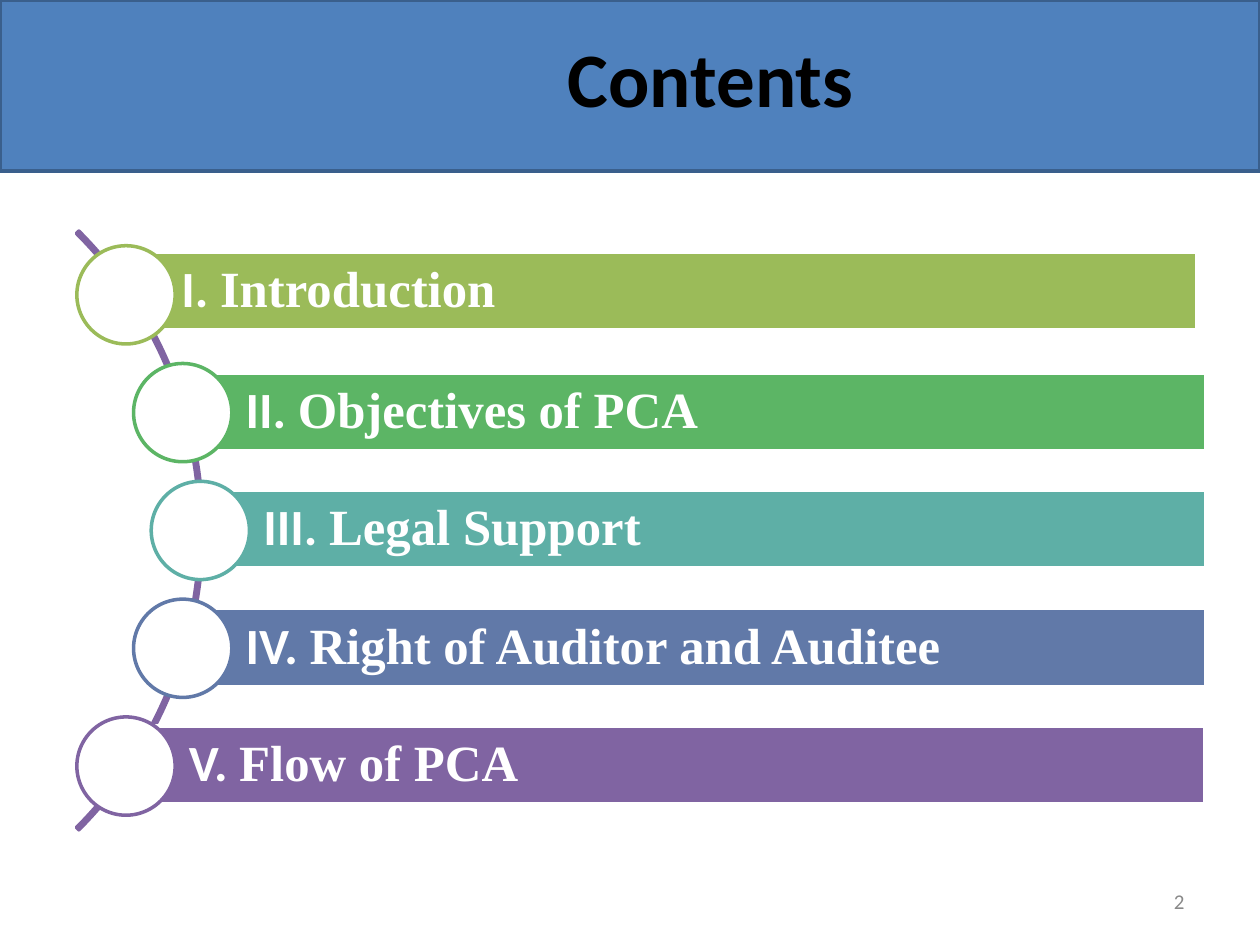
"""Build a contents slide with five bars strung along an arc."""
from dataclasses import dataclass

from pptx import Presentation
from pptx.dml.color import RGBColor
from pptx.enum.shapes import MSO_SHAPE as Shape
from pptx.enum.text import MSO_ANCHOR as Anchor, PP_ALIGN as Align
from pptx.util import Inches, Pt


@dataclass(frozen=True)
class Theme:
    header: str = "4F81BD"
    header_line: str = "3A5F8C"
    arc: str = "8064A2"
    white: str = "FFFFFF"
    black: str = "000000"
    grey: str = "898989"
    sans: str = "Calibri"
    serif: str = "Times New Roman"
    title_size: int = 44
    item_size: int = 29
    number_size: int = 12
    line_width: int = 2


THEME = Theme()
CIRCLE_TOP, CIRCLE_SIZE, CIRCLE_PITCH = 1.95, 0.78, 0.935
BAR_HEIGHT = 0.62
ITEMS = [
    ("I. ", "Introduction", "9BBB59", 0.61, (0.94, 2.0, 8.56)),
    ("II. ", "Objectives of PCA", "5CB565", 1.06, (1.45, 2.96, 8.12)),
    ("III. ", "Legal Support", "5EAFA6", 1.2, (1.59, 3.89, 7.98)),
    ("IV. ", "Right of Auditor and Auditee", "6179A8", 1.06, (1.45, 4.83, 8.12)),
    ("V. ", "Flow of PCA", "8064A2", 0.61, (1.0, 5.76, 8.56)),
]


def add_figure(page, kind, bounds, fill, line):
    """Add a preset shape with an optional fill and a solid outline."""
    figure = page.shapes.add_shape(kind, *map(Inches, bounds))
    figure.shadow.inherit = False
    if fill:
        figure.fill.solid()
        figure.fill.fore_color.rgb = RGBColor.from_string(fill)
    else:
        figure.fill.background()
    figure.line.color.rgb = RGBColor.from_string(line)
    figure.line.width = Pt(THEME.line_width)
    return figure


def add_span(para, text, size, color, font, bold=False):
    """Append one formatted run to a paragraph."""
    span = para.add_run()
    span.text = text
    span.font.size = Pt(size)
    span.font.name = font
    span.font.bold = bold
    span.font.color.rgb = RGBColor.from_string(color)


def place_title(page, text):
    """Move the title placeholder and fill it in."""
    title = page.shapes.title
    title.left, title.top, title.width, title.height = map(
        Inches, (1.78, 0.08, 7.72, 1.06))
    title.text_frame.vertical_anchor = Anchor.MIDDLE
    para = title.text_frame.paragraphs[0]
    para.alignment = Align.CENTER
    add_span(para, text, THEME.title_size, THEME.black, THEME.sans, True)


def add_header(page):
    """Add the header band behind the title."""
    band = add_figure(page, Shape.RECTANGLE, (0, 0, 10, 1.36),
                      THEME.header, THEME.header_line)
    page.shapes.title.element.addprevious(band.element)


def add_arc(page):
    """Add the thin arc on which the circles sit."""
    arc = add_figure(page, Shape.BLOCK_ARC, (-5.11, 0.85, 6.72, 6.72),
                     None, THEME.arc)
    for index, value in enumerate((189, 27, 0.004)):
        arc.adjustments[index] = value


def add_bar(page, numeral, label, color, bounds):
    """Add a coloured bar with its numeral and label."""
    bar = add_figure(page, Shape.RECTANGLE, (*bounds, BAR_HEIGHT),
                     color, THEME.white)
    frame = bar.text_frame
    frame.word_wrap = True
    frame.vertical_anchor = Anchor.MIDDLE
    frame.margin_left = Inches(0.5)
    frame.margin_top = frame.margin_right = frame.margin_bottom = Inches(0.08)
    para = frame.paragraphs[0]
    para.alignment = Align.LEFT
    para.line_spacing = 0.9
    for text, font in ((numeral, THEME.sans), (label, THEME.serif)):
        add_span(para, text, THEME.item_size, THEME.white, font, True)


def add_page_number(page, number):
    """Add the page number at the lower right."""
    box = page.shapes.add_textbox(*map(Inches, (7.17, 6.95, 2.33, 0.4)))
    box.text_frame.word_wrap = True
    box.text_frame.vertical_anchor = Anchor.MIDDLE
    para = box.text_frame.paragraphs[0]
    para.alignment = Align.RIGHT
    add_span(para, number, THEME.number_size, THEME.grey, THEME.sans)


def main():
    """Build and save the deck."""
    deck = Presentation()
    deck.slide_width, deck.slide_height = Inches(10), Inches(7.5)
    page = deck.slides.add_slide(deck.slide_layouts[5])
    place_title(page, "Contents")
    add_header(page)
    add_arc(page)
    for row, (numeral, label, color, circle_left, bounds) in enumerate(ITEMS):
        add_bar(page, numeral, label, color, bounds)
        circle_top = CIRCLE_TOP + row * CIRCLE_PITCH
        add_figure(page, Shape.OVAL,
                   (circle_left, circle_top, CIRCLE_SIZE, CIRCLE_SIZE),
                   THEME.white, color)
    add_page_number(page, "2")
    deck.save("out.pptx")


if __name__ == "__main__":
    main()
